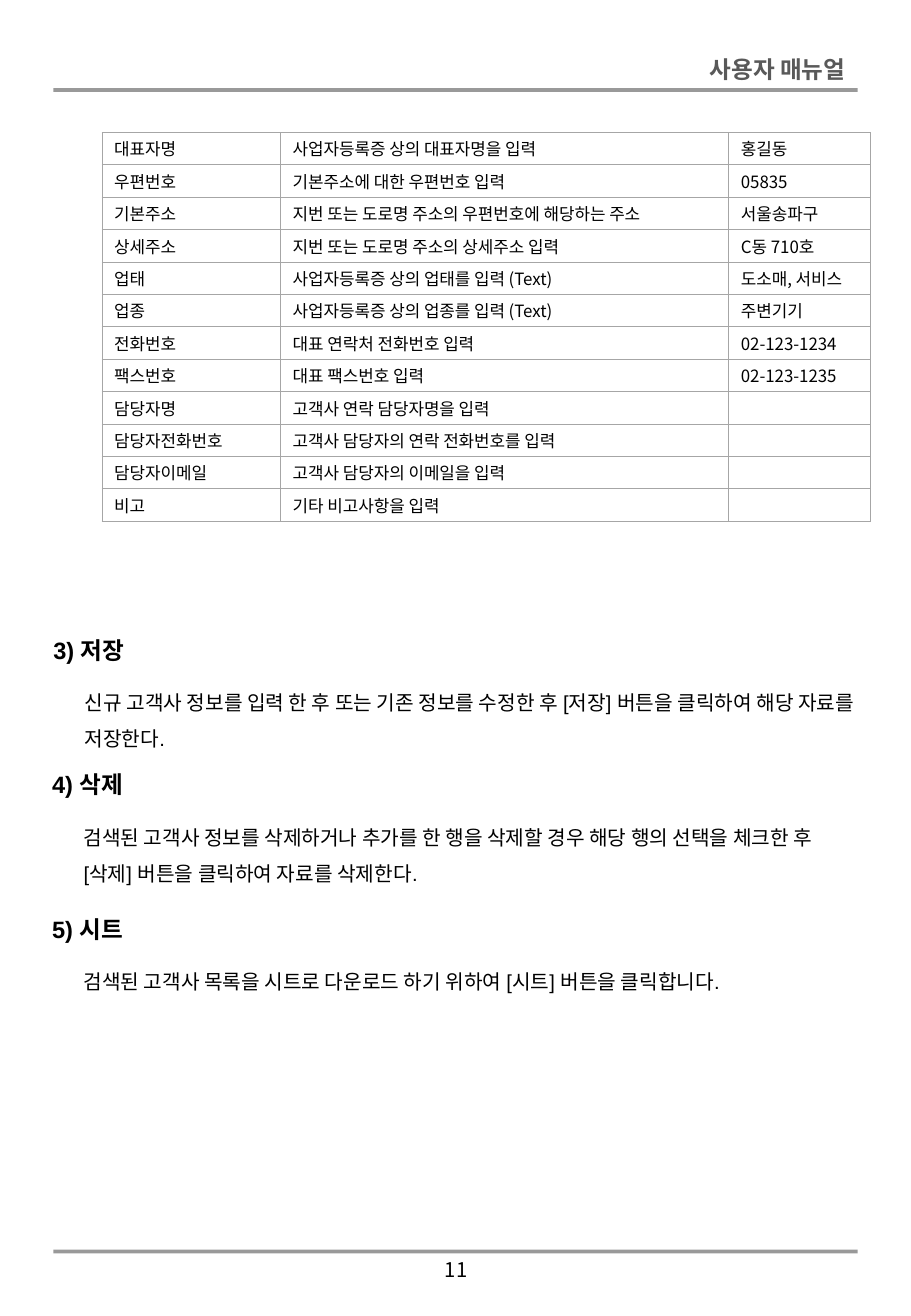
from lxml.etree import SubElement
from pptx import Presentation
from pptx.dml.color import RGBColor
from pptx.enum.shapes import MSO_CONNECTOR
from pptx.enum.text import MSO_ANCHOR, MSO_AUTO_SIZE, PP_ALIGN
from pptx.oxml.ns import qn
from pptx.util import Inches, Pt

HANGUL_FONT = "Noto Sans CJK KR"
BLACK = "000000"

FIELDS = [
    ("대표자명", "사업자등록증 상의 대표자명을 입력", "홍길동"),
    ("우편번호", "기본주소에 대한 우편번호 입력", "05835"),
    ("기본주소", "지번 또는 도로명 주소의 우편번호에 해당하는 주소", "서울송파구"),
    ("상세주소", "지번 또는 도로명 주소의 상세주소 입력", "C동 710호"),
    ("업태", "사업자등록증 상의 업태를 입력 (Text)", "도소매, 서비스"),
    ("업종", "사업자등록증 상의 업종를 입력 (Text)", "주변기기"),
    ("전화번호", "대표 연락처 전화번호 입력", "02-123-1234"),
    ("팩스번호", "대표 팩스번호 입력", "02-123-1235"),
    ("담당자명", "고객사 연락 담당자명을 입력", ""),
    ("담당자전화번호", "고객사 담당자의 연락 전화번호를 입력", ""),
    ("담당자이메일", "고객사 담당자의 이메일을 입력", ""),
    ("비고", "기타 비고사항을 입력", ""),
]

SECTIONS = [
    (0.34, 5.18, 0.67, "3) 저장",
     "신규 고객사 정보를 입력 한 후 또는 기존 정보를 수정한 후 [저장] 버튼을 클릭하여 해당 자료를 저장한다."),
    (0.33, 6.29, 0.71, "4) 삭제",
     "검색된 고객사 정보를 삭제하거나 추가를 한 행을 삭제할 경우 해당 행의 선택을 체크한 후 "
     "[삭제] 버튼을 클릭하여 자료를 삭제한다."),
    (0.33, 7.48, 0.4, "5) 시트",
     "검색된 고객사 목록을 시트로 다운로드 하기 위하여 [시트] 버튼을 클릭합니다."),
]


def color(value):
    return RGBColor.from_string(value)


class ManualPage:
    """Draws the parts of a manual page on one slide in a shared style."""

    def __init__(self, slide):
        self.slide = slide

    def run(self, paragraph, text, size, font, tint=BLACK, bold=False):
        run = paragraph.add_run()
        run.text = text
        run.font.size = Pt(size)
        run.font.name = font
        run.font.bold = bold
        run.font.color.rgb = color(tint)
        SubElement(run.font._element, qn("a:ea"), typeface=HANGUL_FONT)

    def text(self, left, top, width, height, content, size, font="Arial", tint=BLACK,
             bold=False, align=PP_ALIGN.LEFT, spacing=None, wrap=True):
        box = self.slide.shapes.add_textbox(
            Inches(left), Inches(top), Inches(width), Inches(height))
        frame = box.text_frame
        frame.word_wrap = wrap
        frame.auto_size = MSO_AUTO_SIZE.SHAPE_TO_FIT_TEXT
        paragraph = frame.paragraphs[0]
        paragraph.alignment = align
        if spacing:
            paragraph.line_spacing = spacing
        self.run(paragraph, content, size, font, tint, bold)

    def rule(self, top):
        rule = self.slide.shapes.add_connector(
            MSO_CONNECTOR.STRAIGHT, Inches(0.44), Inches(top), Inches(7.06), Inches(top))
        rule.line.width = Pt(2.25)
        rule.line.color.rgb = color(BLACK)
        tint = rule._element.spPr.find(".//" + qn("a:srgbClr"))
        SubElement(tint, qn("a:alpha"), val="40000")
        SubElement(rule._element.spPr, qn("a:effectLst"))

    def borders(self, cell, tint, width):
        properties = cell._tc.get_or_add_tcPr()
        for side in ("lnL", "lnR", "lnT", "lnB"):
            edge = SubElement(properties, qn(f"a:{side}"), w=str(Pt(width)))
            fill = SubElement(edge, qn("a:solidFill"))
            SubElement(fill, qn("a:srgbClr"), val=tint)

    def cell(self, cell, content):
        cell.margin_top = cell.margin_bottom = Inches(0.03)
        cell.vertical_anchor = MSO_ANCHOR.MIDDLE
        self.borders(cell, "A6A6A6", 0.5)
        cell.fill.background()
        paragraph = cell.text_frame.paragraphs[0]
        if content:
            self.run(paragraph, content, 10, HANGUL_FONT)
        else:
            SubElement(paragraph._p, qn("a:endParaRPr"), sz="1000")

    def table(self, left, top, height, widths, rows):
        table = self.slide.shapes.add_table(
            len(rows), len(widths), Inches(left), Inches(top),
            Inches(sum(widths)), Inches(height)).table
        table.first_row = table.horz_banding = False
        for column, width in zip(table.columns, widths):
            column.width = Inches(width)
        for row, contents in zip(table.rows, rows):
            row.height = Inches(height / len(rows))
            for cell, content in zip(row.cells, contents):
                self.cell(cell, content)

    def section(self, left, top, body_height, heading, body):
        self.text(left, top, 0.85, 0.34, heading, 14, bold=True, wrap=False)
        self.text(left + 0.26, top + 0.35, 6.56, body_height, body, 12, spacing=1.5)


def main():
    deck = Presentation()
    deck.slide_width, deck.slide_height = Inches(7.5), Inches(10.83)
    page = ManualPage(deck.slides.add_slide(deck.slide_layouts[6]))
    page.text(3.48, 10.3, 0.55, 0.3, "11", 12, HANGUL_FONT, align=PP_ALIGN.CENTER)
    for top in (10.3, 0.74):
        page.rule(top)
    page.text(5.28, 0.4, 1.78, 0.34, "사용자 매뉴얼", 14, HANGUL_FONT, "595959",
              bold=True, align=PP_ALIGN.RIGHT)
    page.table(0.84, 1.09, 3.2, (1.47, 3.69, 1.17), FIELDS)
    for section in SECTIONS:
        page.section(*section)
    deck.save("out.pptx")


if __name__ == "__main__":
    main()
